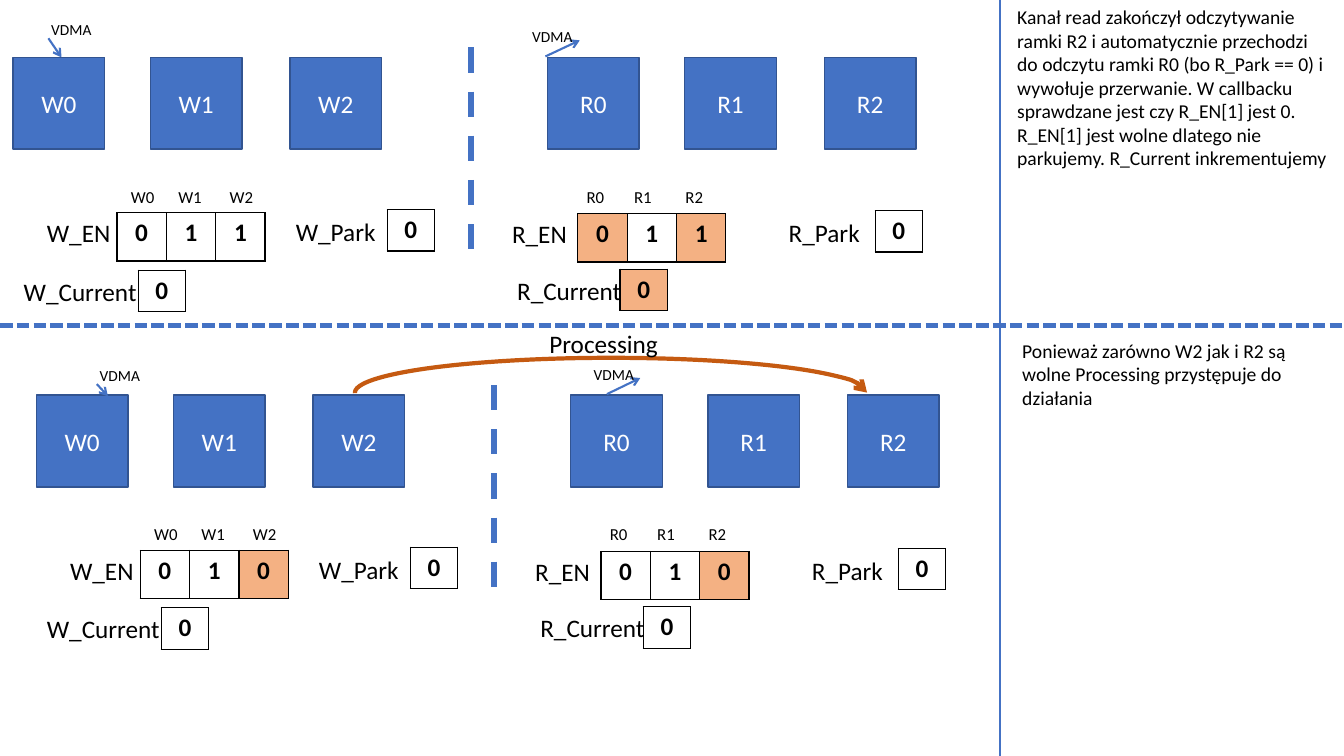
"""Build the slide showing two steps of VDMA frame buffering with notes beside each step."""
from lxml import etree
from pptx import Presentation
from pptx.dml.color import RGBColor
from pptx.enum import dml, shapes, text
from pptx.oxml import ns
from pptx.util import Inches, Pt

BLUE = RGBColor(0x44, 0x72, 0xC4)
NAVY = RGBColor(0x32, 0x54, 0x91)
RUST = RGBColor(0xC5, 0x5A, 0x11)
PEACH = RGBColor(0xF4, 0xB1, 0x83)
WHITE = RGBColor(0xFF, 0xFF, 0xFF)
BLACK = RGBColor(0, 0, 0)
LEFT, CENTER = text.PP_ALIGN.LEFT, text.PP_ALIGN.CENTER

prs = Presentation()
prs.slide_width, prs.slide_height = Inches(13.33), Inches(7.5)
slide = prs.slides.add_slide(prs.slide_layouts[6])


def write(frame, words, size, color=BLACK, align=LEFT, bold=False):
    frame.text = words
    line = frame.paragraphs[0]
    line.alignment = align
    font = line.runs[0].font
    font.name, font.size, font.bold = "Calibri", Pt(size), bold
    font.color.rgb = color


def add_label(words, x, y, width, height, size, align=LEFT, wrap=True):
    box = slide.shapes.add_textbox(Inches(x), Inches(y), Inches(width), Inches(height))
    write(box.text_frame, words, size, align=align)
    box.text_frame.word_wrap = wrap
    box.text_frame.auto_size = text.MSO_AUTO_SIZE.SHAPE_TO_FIT_TEXT


FRAMES = [("W", 0.13, 1.2), ("R", 5.43, 5.72)]
FRAME_STEPS = [0, 1.36, 2.745]
INDEX_STEPS = [0, 0.47, 0.98]
REGISTERS = [
    ("W_EN", 0.36, 2.11, 0.84, CENTER, 1.16, 2.11, 0.49, 0.48),
    ("R_EN", 4.98, 2.12, 0.75, LEFT, 5.73, 2.12, 0.49, 0.48),
    ("W_Park", 2.83, 2.1, 1, CENTER, 3.84, 2.08, 0.47, 0.41),
    ("R_Park", 7.72, 2.11, 0.91, CENTER, 8.68, 2.09, 0.47, 0.41),
    ("W_Current", 0.13, 2.69, 1.33, CENTER, 1.37, 2.68, 0.47, 0.41),
    ("R_Current", 5.02, 2.68, 1.25, CENTER, 6.15, 2.67, 0.47, 0.41),
]
STEPS = [
    (0, 0, {"W_EN": "011", "R_EN": "011"}, {"R_EN": [0, 2], "R_Current": [0]}),
    (0.23, 3.35, {"W_EN": "010", "R_EN": "010"}, {"W_EN": [2], "R_EN": [2]}),
]

for dx, dy, values, changed in STEPS:
    for channel, frame_x, index_x in FRAMES:
        for number in range(3):
            name = f"{channel}{number}"
            frame = slide.shapes.add_shape(
                shapes.MSO_SHAPE.RECTANGLE, Inches(frame_x + FRAME_STEPS[number] + dx),
                Inches(0.57 + dy), Inches(0.91), Inches(0.91))
            frame.shadow.inherit = False
            frame.fill.solid()
            frame.fill.fore_color.rgb = BLUE
            frame.line.color.rgb, frame.line.width = NAVY, Pt(1)
            write(frame.text_frame, name, 18, WHITE, CENTER)
            add_label(name, index_x + INDEX_STEPS[number] + dx, 1.8 + dy, 0.55, 0.3, 12)

    for name, x, y, width, align, cells_x, cells_y, cell_width, cell_height in REGISTERS:
        bits = values.get(name, "0")
        register = slide.shapes.add_table(
            1, len(bits), Inches(cells_x + dx), Inches(cells_y + dy),
            Inches(cell_width * len(bits)), Inches(cell_height)).table
        register.first_row = register.horz_banding = False
        for position, bit in enumerate(bits):
            cell = register.cell(0, position)
            write(cell.text_frame, bit, 18, align=CENTER, bold=True)
            cell.fill.solid()
            cell.fill.fore_color.rgb = PEACH if position in changed.get(name, []) else WHITE
            properties = cell._tc.get_or_add_tcPr()
            for order, side in enumerate(["a:lnL", "a:lnR", "a:lnT", "a:lnB"]):
                border = etree.Element(ns.qn(side), w=str(Pt(1)))
                ink = etree.SubElement(border, ns.qn("a:solidFill"))
                etree.SubElement(ink, ns.qn("a:srgbClr"), val=str(BLACK))
                properties.insert(order, border)
        add_label(name, x + dx, y + dy, width, 0.4, 18, align, wrap=False)

DASH, SHORT_DASH = dml.MSO_LINE.DASH, dml.MSO_LINE.SQUARE_DOT
LINES = [
    (4.67, 0.47, 4.67, 2.51, 4.5, DASH, False),
    (4.9, 3.82, 4.9, 5.85, 4.5, DASH, False),
    (0, 3.23, 13.33, 3.23, 3, SHORT_DASH, False),
    (9.92, 0, 9.92, 7.5, 1.5, None, False),
    (0.48, 0.38, 0.61, 0.57, 1.5, None, True),
    (5.41, 0.56, 5.75, 0.4, 1.5, None, True),
    (0.96, 3.81, 1.07, 3.93, 1.5, None, True),
    (6.02, 3.91, 6.35, 3.75, 1.5, None, True),
]
for x1, y1, x2, y2, weight, dash, pointed in LINES:
    rule = slide.shapes.add_connector(
        shapes.MSO_CONNECTOR.STRAIGHT, Inches(x1), Inches(y1), Inches(x2), Inches(y2))
    rule.line.color.rgb, rule.line.width = BLUE, Pt(weight)
    if dash:
        rule.line.dash_style = dash
    if pointed:
        etree.SubElement(rule.line._get_or_add_ln(), ns.qn("a:tailEnd"), type="arrow")
    etree.SubElement(rule._element.spPr, ns.qn("a:effectLst"))

for x, y in [(0.41, 0.15), (5.18, 0.22), (0.89, 3.58), (5.79, 3.57)]:
    add_label("VDMA", x, y, 0.61, 0.29, 11)

processing = slide.shapes.add_shape(
    shapes.MSO_SHAPE.ARC, Inches(3.52), Inches(3.55), Inches(5.08), Inches(0.69))
processing.adjustments[0], processing.adjustments[1] = 107.93, 0
processing.shadow.inherit = False
processing.fill.background()
processing.line.color.rgb, processing.line.width = RUST, Pt(3)
etree.SubElement(processing.line._get_or_add_ln(), ns.qn("a:tailEnd"), type="arrow")
add_label("Processing", 5.35, 3.21, 1.29, 0.4, 18, wrap=False)

add_label(
    "Kanał read zakończył odczytywanie ramki R2 i automatycznie przechodzi do odczytu "
    "ramki R0 (bo R_Park == 0) i wywołuje przerwanie. W callbacku sprawdzane jest czy "
    "R_EN[1] jest 0. R_EN[1] jest wolne dlatego nie parkujemy. R_Current inkrementujemy",
    9.99, 0, 3.28, 1.75, 14)
add_label("Ponieważ zarówno W2 jak i R2 są wolne Processing przystępuje do działania",
          10.04, 3.31, 3.28, 0.81, 14)

prs.save("out.pptx")
